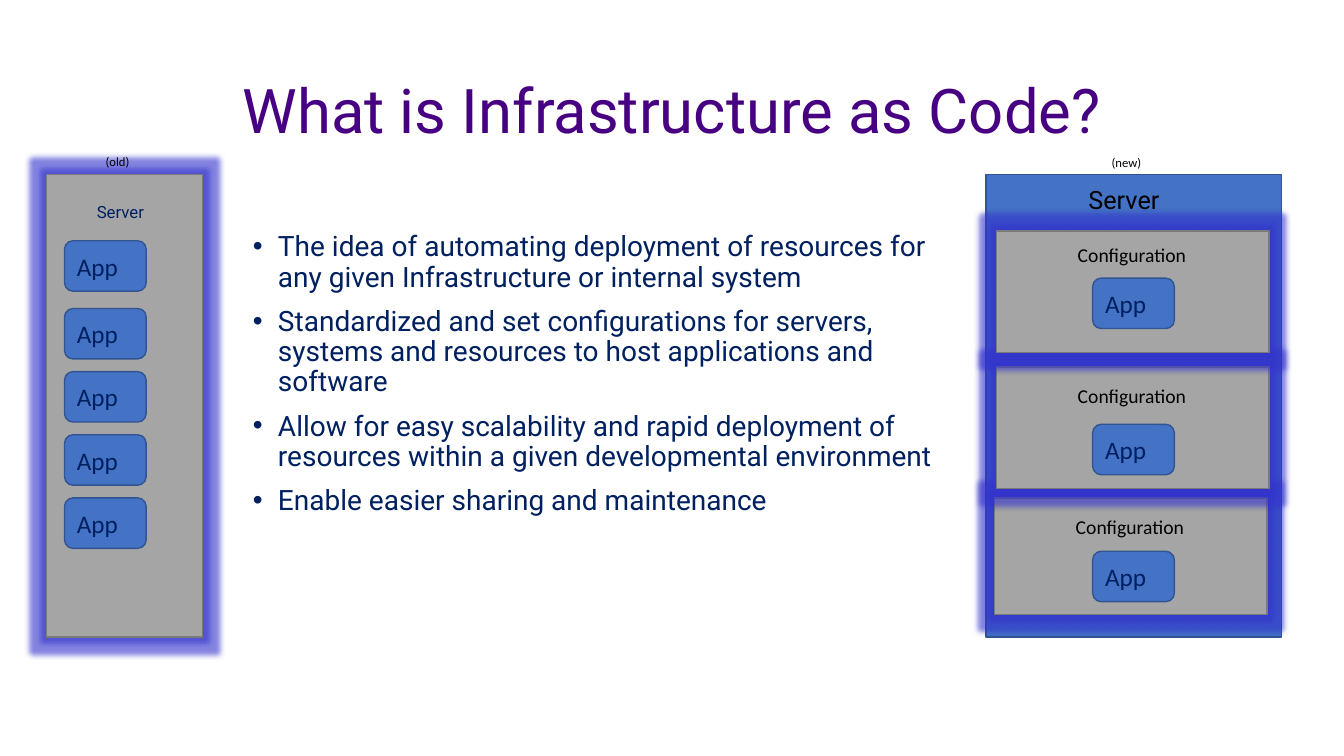
from lxml import etree
from pptx import Presentation
from pptx.dml.color import RGBColor
from pptx.enum import shapes, text
from pptx.oxml import ns
from pptx.util import Pt

TITLE = "What is Infrastructure as Code?"
POINTS = [
    "The idea of automating deployment of resources for any given Infrastructure or internal system",
    "Standardized and set configurations for servers, systems and resources to host applications and software",
    "Allow for easy scalability and rapid deployment of resources within a given developmental environment",
    "Enable easier sharing and maintenance",
]
OLD_APP_TOPS = [172] + [220.4 + 45.1 * step for step in range(4)]
CONFIGURATIONS = [
    {"left": 710.6, "top": 355.7, "height": 83.5, "label": 364.3, "app": 393.8},
    {"left": 712, "top": 262, "height": 87.1, "label": 270.7, "app": 303.1},
    {"left": 712, "top": 164.9, "height": 87.1, "label": 169.9, "app": 198.7},
]

PURPLE = RGBColor(0x47, 0x00, 0x82)
NAVY = RGBColor(0x00, 0x20, 0x60)
BLACK = RGBColor(0, 0, 0)
BLUE = RGBColor(0x44, 0x72, 0xC4)
BLUE_EDGE = RGBColor(0x32, 0x54, 0x91)
GREY = RGBColor(0xA5, 0xA5, 0xA5)
GREY_EDGE = RGBColor(0x7A, 0x7A, 0x7A)
GLOW = RGBColor(0x33, 0x33, 0xCC)
LEFT, CENTER = text.PP_ALIGN.LEFT, text.PP_ALIGN.CENTER
TOP, MIDDLE = text.MSO_ANCHOR.TOP, text.MSO_ANCHOR.MIDDLE
RECTANGLE = shapes.MSO_SHAPE.RECTANGLE
ROUNDED = shapes.MSO_SHAPE.ROUNDED_RECTANGLE

deck = Presentation()
deck.slide_width, deck.slide_height = Pt(960), Pt(540)
page = deck.slides.add_slide(deck.slide_layouts[6])


def write(box, lines, size, font, color, align=LEFT, anchor=TOP):
    frame = box.text_frame
    frame.word_wrap = True
    frame.vertical_anchor = anchor
    for index, line in enumerate(lines):
        para = frame.add_paragraph() if index else frame.paragraphs[0]
        para.alignment = align
        span = para.add_run()
        span.text = line
        span.font.size = Pt(size)
        span.font.name = font
        span.font.color.rgb = color
    return frame.paragraphs


def add_text(place, lines, *style):
    box = page.shapes.add_textbox(*map(Pt, place))
    return write(box, lines, *style)


def add_block(kind, place, fill, edge):
    box = page.shapes.add_shape(kind, *map(Pt, place))
    box.shadow.inherit = False
    box.fill.solid()
    box.fill.fore_color.rgb = fill
    box.line.color.rgb = edge
    box.line.width = Pt(1)
    return box


def add_glowing_panel(*place):
    panel = add_block(RECTANGLE, place, GREY, GREY_EDGE)
    effects = panel.element.spPr.find(ns.qn("a:effectLst"))
    glow = etree.SubElement(effects, ns.qn("a:glow"), rad=str(Pt(8)))
    color = etree.SubElement(glow, ns.qn("a:srgbClr"), val=str(GLOW))
    etree.SubElement(color, ns.qn("a:alpha"), val="60000")


def add_app(left, top):
    app = add_block(ROUNDED, (left, top, 58.3, 36), BLUE, BLUE_EDGE)
    write(app, ["App"], 18, "Calibri", NAVY, LEFT, MIDDLE)


add_block(RECTANGLE, (704.2, 124.6, 211, 330.5), BLUE, BLUE_EDGE)

heading = add_text((66.2, 28.8, 828, 104.4), [TITLE], 44, "Roboto", PURPLE, CENTER, MIDDLE)
heading[0].line_spacing = 0.9

for para in add_text((173.5, 162.7, 513.4, 340.6), POINTS, 20, "Roboto", NAVY):
    para.line_spacing = 0.9
    para.space_before = Pt(10)
    layout = para._p.get_or_add_pPr()
    layout.set("marL", str(Pt(18)))
    layout.set("indent", str(Pt(-18)))
    etree.SubElement(layout, ns.qn("a:buFont"), typeface="Arial")
    etree.SubElement(layout, ns.qn("a:buChar"), char="•")

add_glowing_panel(33.1, 124.6, 111.6, 330.5)
add_text((39.6, 140.4, 92.9, 21.6), ["Server"], 12, "Roboto", NAVY, CENTER)
for top in OLD_APP_TOPS:
    add_app(46.1, top)

for part in CONFIGURATIONS:
    add_glowing_panel(part["left"], part["top"], 194.4, part["height"])
add_text((770.4, 128.2, 111.6, 28.8), ["Server"], 18, "Roboto", BLACK)
for part in CONFIGURATIONS:
    add_text((part["left"] + 26.3, part["label"], 140.4, 24.5), ["Configuration"], 14, "Calibri", BLACK, CENTER)
    add_app(780.5, part["app"])

for caption, left, top in [("(old)", 68.4, 106.6), ("(new)", 787, 107.3)]:
    add_text((left, top, 54.7, 18), [caption], 9, "Calibri", BLACK)

deck.save("out.pptx")
